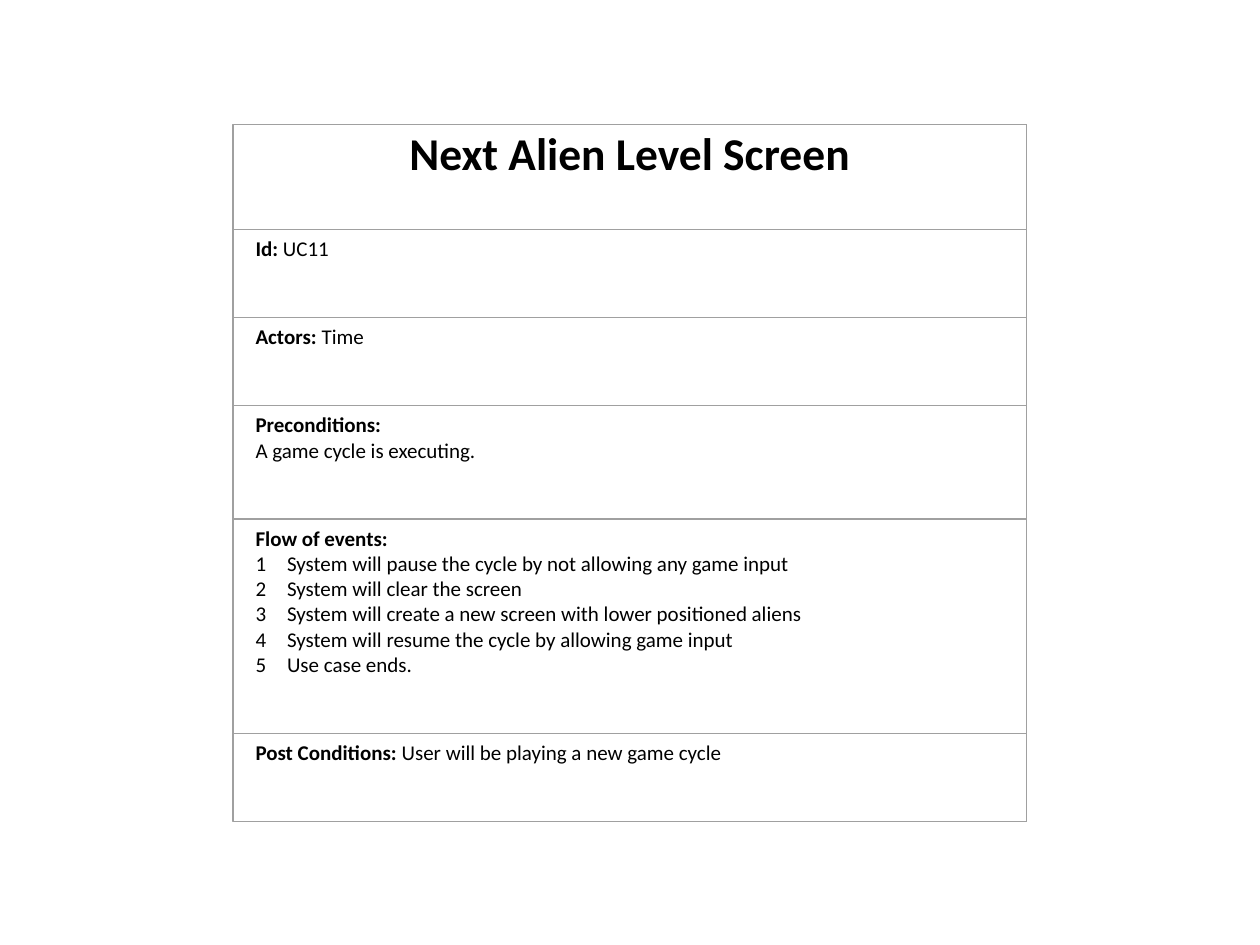
from pptx import Presentation
from pptx.dml.color import RGBColor
from pptx.enum.shapes import MSO_SHAPE as Shape
from pptx.enum.text import PP_ALIGN as Align
from pptx.util import Inches, Pt
from lxml.etree import SubElement
from pptx.oxml.ns import qn

# Grid: 100 columns by 75 rows of square cells
CELL = Inches(10) // 100
LEFT, TOP, WIDTH = 18.5, 9.9, 63
MARGIN = 0.8
TAB = 2.5

# Each section: rows high, then lines of (bold label, plain text)
TITLE_ROWS = 8.3
SECTIONS = [
    (7, [("Id:", " UC11")]),
    (7, [("Actors: ", "Time")]),
    (9, [("Preconditions:", ""), ("", "A game cycle is executing.")]),
    (17, [("Flow of events:", "")] + [
        ("", f"{number}\t{step}") for number, step in enumerate([
            "System will pause the cycle by not allowing any game input",
            "System will clear the screen",
            "System will create a new screen with lower positioned aliens",
            "System will resume the cycle by allowing game input",
            "Use case ends.",
        ], 1)]),
    (7, [("Post Conditions:", " User will be playing a new game cycle")]),
]


def color(value):
    return RGBColor.from_string(value)


def cells(*counts):
    return [round(count * CELL) for count in counts]


def add_frame(slide, box, line_width):
    frame = slide.shapes.add_shape(Shape.RECTANGLE, *cells(*box))
    frame.shadow.inherit = False
    frame.fill.background()
    frame.line.color.rgb = color("A0A0A0")
    frame.line.width = Pt(line_width)


def add_tab_stop(paragraph):
    tabs = SubElement(paragraph._p.get_or_add_pPr(), qn("a:tabLst"))
    SubElement(tabs, qn("a:tab"), pos=str(cells(TAB)[0]), algn="l")


def add_run(paragraph, text, size, bold):
    run = paragraph.add_run()
    run.text = text
    run.font.name = "Calibri"
    run.font.size = Pt(size)
    run.font.bold = bold
    run.font.color.rgb = color("000000")


def add_text_frame(slide, box):
    left, top, width, height = box
    inner = cells(left + MARGIN, top, width - 2 * MARGIN, height)
    content = slide.shapes.add_textbox(*inner).text_frame
    content.word_wrap = True
    return content


def add_title(slide, box):
    title = add_text_frame(slide, box)
    title.margin_left = title.margin_right = 0
    title.margin_top = title.margin_bottom = 0
    title.paragraphs[0].alignment = Align.CENTER
    add_run(title.paragraphs[0], "Next Alien Level Screen", 26, True)
    add_frame(slide, box, 0)


def add_section(slide, box, lines):
    section = add_text_frame(slide, box)
    for index, (label, text) in enumerate(lines):
        paragraph = section.add_paragraph() if index else section.paragraphs[0]
        if "\t" in text:
            add_tab_stop(paragraph)
        if label:
            add_run(paragraph, label, 12, True)
        if text:
            add_run(paragraph, text, 12, False)
    add_frame(slide, box, 0)


def add_use_case(slide, left, top, width):
    # Title row
    add_title(slide, (left, top, width, TITLE_ROWS))

    # Stacked sections
    bottom = top + TITLE_ROWS
    for rows, lines in SECTIONS:
        add_section(slide, (left, bottom, width, rows), lines)
        bottom += rows

    # Outer border
    add_frame(slide, (left, top, width, bottom - top), 0.5)


def main():
    deck = Presentation()
    deck.slide_width, deck.slide_height = cells(100, 75)
    slide = deck.slides.add_slide(deck.slide_layouts[6])
    add_use_case(slide, LEFT, TOP, WIDTH)
    deck.save("out.pptx")


if __name__ == "__main__":
    main()
